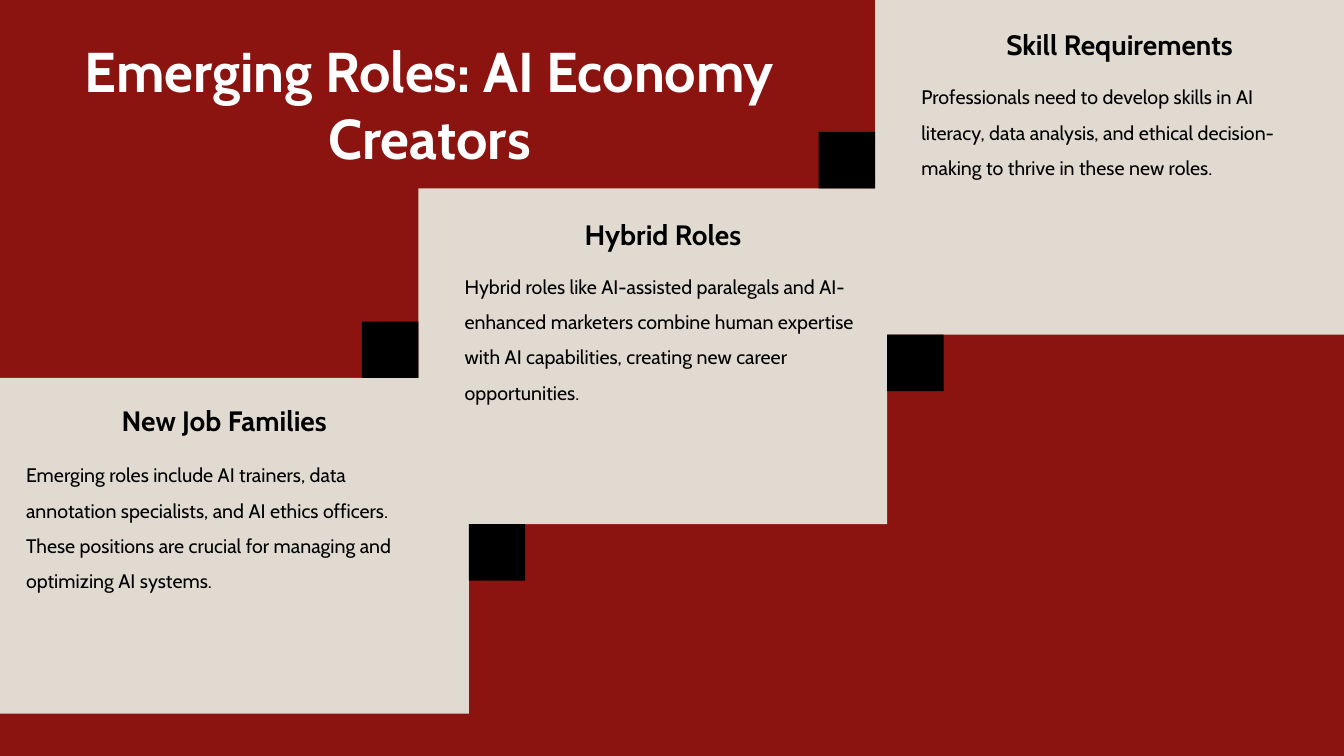
from itertools import pairwise

from pptx import Presentation
from pptx.dml.color import RGBColor
from pptx.enum.shapes import MSO_SHAPE
from pptx.enum.text import MSO_ANCHOR, MSO_AUTO_SIZE, PP_ALIGN
from pptx.util import Inches, Pt

RECT = MSO_SHAPE.RECTANGLE
TOP, MIDDLE = MSO_ANCHOR.TOP, MSO_ANCHOR.MIDDLE
LEFT, CENTER = PP_ALIGN.LEFT, PP_ALIGN.CENTER
GROW = MSO_AUTO_SIZE.SHAPE_TO_FIT_TEXT

RED = RGBColor(0x8B, 0x13, 0x10)
SAND = RGBColor(0xE0, 0xDA, 0xD0)
BLACK = RGBColor(0, 0, 0)
WHITE = RGBColor(0xFF, 0xFF, 0xFF)

TITLE = {"name": "Cabin", "size": Pt(40), "bold": True}
HEAD = {"name": "Cabin", "size": Pt(20), "bold": True}
BODY = {"name": "Cabin", "size": Pt(14), "bold": False}

CARD_W, CARD_H = 4.65, 3.33
SQUARE = 0.56

# Steps from lower left to upper right:
# card corner, heading, heading place, body, body place (left, top, width, height)
STEPS = [
    ((0, 3.75), "New Job Families", (0.16, 3.84, 4.13, 0.5),
     "Emerging roles include AI trainers, data annotation specialists, and AI "
     "ethics officers. These positions are crucial for managing and optimizing "
     "AI systems.", (0.16, 4.43, 3.92, 1.4)),
    ((4.15, 1.87), "Hybrid Roles", (4.51, 1.99, 4.13, 0.5),
     "Hybrid roles like AI-assisted paralegals and AI-enhanced marketers combine "
     "human expertise with AI capabilities, creating new career opportunities.",
     (4.51, 2.56, 4.13, 1.4)),
    ((8.68, -0.01), "Skill Requirements", (9.04, 0.11, 4.13, 0.5),
     "Professionals need to develop skills in AI literacy, data analysis, and "
     "ethical decision-making to thrive in these new roles.",
     (9.04, 0.68, 4.13, 1.05)),
]


def add_block(slide, left, top, width, height, color):
    block = slide.shapes.add_shape(RECT, *map(Inches, (left, top, width, height)))
    block.shadow.inherit = False
    block.fill.solid()
    block.fill.fore_color.rgb = color
    block.line.fill.background()


def set_text(shape, text, style, color, anchor, align, spacing):
    frame = shape.text_frame
    frame.text = text
    frame.word_wrap = True
    frame.auto_size = GROW
    frame.vertical_anchor = anchor
    para = frame.paragraphs[0]
    para.alignment = align
    para.line_spacing = spacing
    font = para.runs[0].font
    for key, value in style.items():
        setattr(font, key, value)
    font.color.rgb = color


def add_text(slide, place, text, style, anchor, align):
    box = slide.shapes.add_textbox(*map(Inches, place))
    set_text(box, text, style, BLACK, anchor, align, 1.5)


def add_title(slide, text):
    title = slide.shapes.title
    title.left, title.top = Inches(0), Inches(0.31)
    title.width, title.height = Inches(8.52), Inches(1.41)
    set_text(title, text, TITLE, WHITE, TOP, CENTER, 1.0)


def add_joint(slide, low, high):
    """Put a black square in each of the two corners where cards meet."""
    add_block(slide, high[0] - SQUARE, low[1] - SQUARE, SQUARE, SQUARE, BLACK)
    add_block(slide, low[0] + CARD_W, high[1] + CARD_H, SQUARE, SQUARE, BLACK)


def main():
    deck = Presentation()
    deck.slide_width, deck.slide_height = Inches(13.33), Inches(7.5)
    slide = deck.slides.add_slide(deck.slide_layouts[5])
    slide.background.fill.solid()
    slide.background.fill.fore_color.rgb = RED
    add_title(slide, "Emerging Roles: AI Economy Creators")

    corners = [step[0] for step in STEPS]
    for corner in corners:
        add_block(slide, *corner, CARD_W, CARD_H, SAND)
    for low, high in pairwise(corners):
        add_joint(slide, low, high)
    for _, head, head_at, body, body_at in STEPS:
        add_text(slide, head_at, head, HEAD, MIDDLE, CENTER)
        add_text(slide, body_at, body, BODY, TOP, LEFT)
    deck.save("out.pptx")


if __name__ == "__main__":
    main()
